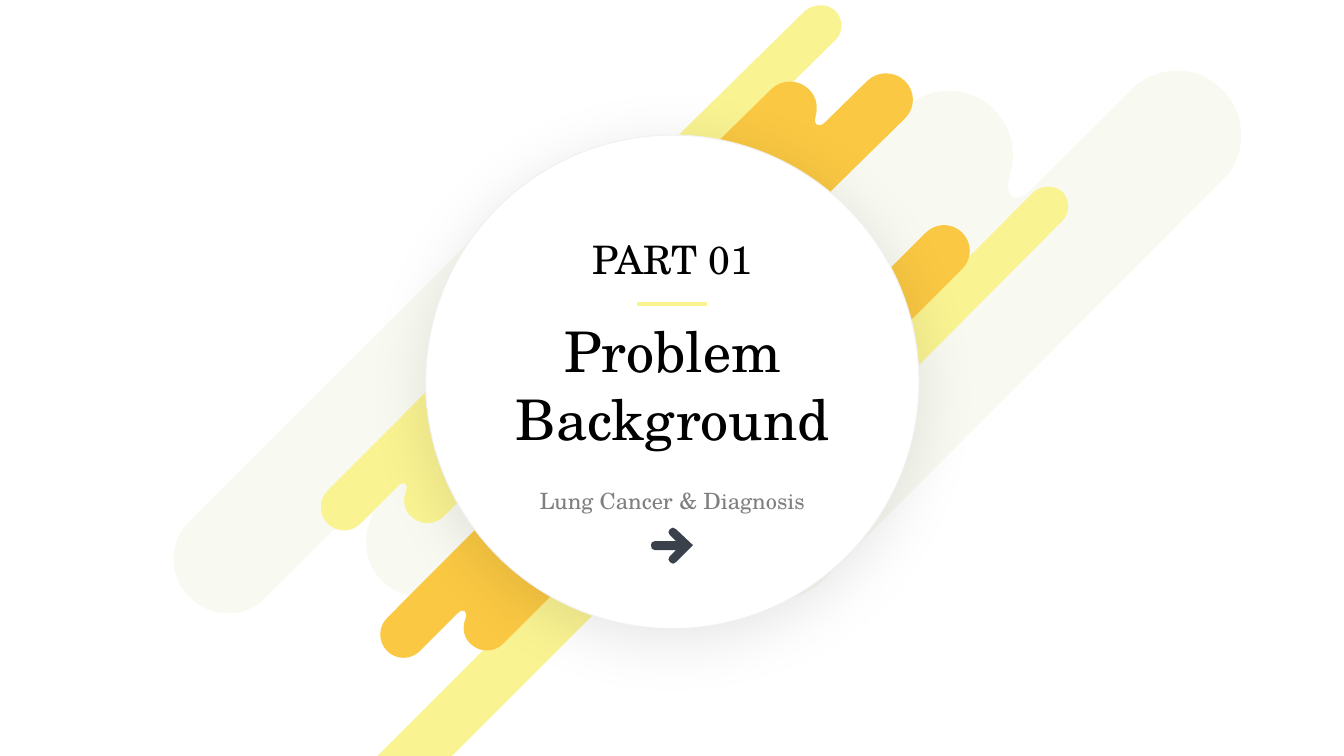
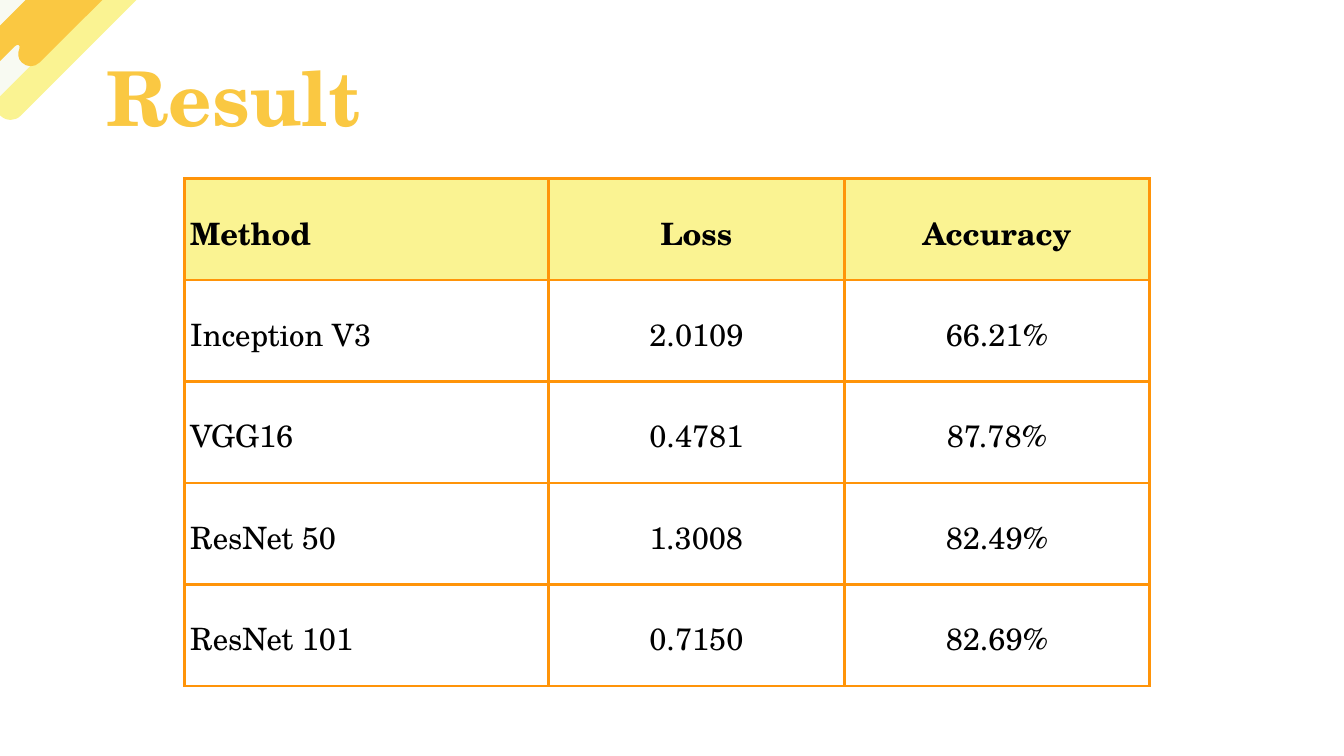
from lxml import etree
from pptx import Presentation
from pptx.dml.color import RGBColor
from pptx.enum import shapes, text
from pptx.oxml import ns
from pptx.util import Pt

# Shared look
FONT = "TeX Gyre Schola"
PALE, YELLOW, ORANGE = "F8FAF2", "FAF392", "FAC842"
BLACK, WHITE, GREY, SLATE = "000000", "FFFFFF", "7F7F7F", "3A414B"
RIM, GRID = "F0F0F0", "FF9409"
LEFT, CENTER = text.PP_ALIGN.LEFT, text.PP_ALIGN.CENTER

# Outlines: extent, then parts (two numbers are a line end, six are a curve)
BIG_SPLASH = (7.5, 5.44), [
    (6.87, 0), (6.70, 0, 6.54, .06, 6.41, .19), (5.41, 1.19),
    (5.36, 1.24, 5.32, 1.26, 5.28, 1.26), (5.20, 1.26, 5.17, 1.17, 5.20, 1.06),
    (5.28, .82, 5.23, .57, 5.05, .39), (4.93, .26, 4.76, .20, 4.60, .20),
    (4.44, .20, 4.28, .26, 4.15, .39), (.19, 4.35),
    (.07, 4.47, 0, 4.63, 0, 4.80), (0, 4.97, .07, 5.13, .19, 5.25),
    (.32, 5.38, .48, 5.44, .65, 5.44), (.81, 5.44, .97, 5.38, 1.09, 5.25),
    (2.12, 4.23), (2.18, 4.17, 2.23, 4.15, 2.26, 4.15),
    (2.34, 4.15, 2.37, 4.24, 2.33, 4.34), (2.23, 4.58, 2.27, 4.87, 2.46, 5.05),
    (2.58, 5.18, 2.75, 5.24, 2.91, 5.24), (3.07, 5.24, 3.24, 5.18, 3.36, 5.05),
    (7.31, 1.09), (7.44, .97, 7.50, .81, 7.50, .64),
    (7.50, .47, 7.44, .31, 7.31, .19), (7.19, .06, 7.03, 0, 6.87, 0),
]
SMALL_SPLASH = (3.06, 2.23), [
    (2.96, .10), (2.86, 0, 2.70, 0, 2.60, .10), (2.20, .50),
    (2.13, .56, 2.09, .51, 2.11, .45), (2.14, .35, 2.12, .25, 2.05, .18),
    (1.95, .08, 1.79, .08, 1.69, .18), (.10, 1.77),
    (0, 1.87, 0, 2.03, .10, 2.13), (.20, 2.23, .36, 2.23, .46, 2.13),
    (.87, 1.72), (.94, 1.65, .98, 1.71, .96, 1.77),
    (.92, 1.86, .93, 1.98, 1.01, 2.05), (1.11, 2.15, 1.27, 2.15, 1.37, 2.05),
    (2.96, .46), (3.06, .36, 3.06, .20, 2.96, .10),
]
BAR = (2.96, 2.96), [
    (.47, 2.85), (.37, 2.95, .21, 2.95, .10, 2.85), (0, 2.75, 0, 2.59, .10, 2.48),
    (2.49, .09), (2.60, 0, 2.76, 0, 2.86, .09), (2.96, .20, 2.96, .36, 2.86, .46),
]
ARROW = (.42, .37), [
    (.19, .35), (.17, .33, .17, .31, .19, .29), (.25, .23), (.04, .23),
    (.01, .23, 0, .21, 0, .18), (0, .16, .01, .14, .04, .14), (.25, .14), (.19, .08),
    (.17, .06, .17, .04, .19, .02), (.21, 0, .23, 0, .25, .02), (.42, .18), (.25, .35),
    (.23, .37, .21, .37, .19, .35),
]

RESULTS = [
    ("Method", "Loss", "Accuracy"),
    ("Inception V3", "2.0109", "66.21%"),
    ("VGG16", "0.4781", "87.78%"),
    ("ResNet 50", "1.3008", "82.49%"),
    ("ResNet 101", "0.7150", "82.69%"),
]


def rgb(value):
    return RGBColor.from_string(value)


def add_xml(parent, tag, **attributes):
    return etree.SubElement(parent, ns.qn(tag), attributes)


def paint(shape, color):
    shape.shadow.inherit = False
    shape.fill.solid()
    shape.fill.fore_color.rgb = rgb(color)
    shape.line.fill.background()


def add_outline(slide, outline, box, color):
    """Fill the box with a freeform whose path has true curves."""
    extent, parts = outline
    builder = slide.shapes.build_freeform(*map(Pt, parts[0]))
    builder.add_line_segments([tuple(map(Pt, part[-2:])) for part in parts[1:]])
    shape = builder.convert_to_shape()
    for name, value in zip(("left", "top", "width", "height"), box):
        setattr(shape, name, Pt(value))
    # Rewrite the path so that its rounded parts are curves
    path = next(shape._element.iter(ns.qn("a:path")))
    for step in list(path):
        path.remove(step)
    for side, value in zip("wh", extent):
        path.set(side, str(Pt(value)))
    for number, part in enumerate(parts):
        tag = "a:cubicBezTo" if len(part) == 6 else "a:lnTo" if number else "a:moveTo"
        step = add_xml(path, tag)
        for x, y in zip(part[::2], part[1::2]):
            add_xml(step, "a:pt", x=str(Pt(x)), y=str(Pt(y)))
    add_xml(path, "a:close")
    paint(shape, color)


def write(paragraph, words, size, color=BLACK, bold=False, **layout):
    for name, value in layout.items():
        setattr(paragraph, name, value)
    run = paragraph.add_run()
    run.text = words
    for name, value in {"name": FONT, "size": Pt(size), "bold": bold}.items():
        setattr(run.font, name, value)
    run.font.color.rgb = rgb(color)


def add_label(slide, box, words, size, **style):
    frame = slide.shapes.add_textbox(*map(Pt, box)).text_frame
    frame.word_wrap = True
    frame.auto_size = text.MSO_AUTO_SIZE.SHAPE_TO_FIT_TEXT
    write(frame.paragraphs[0], words, size, **style)


def add_disc(slide, left, top, size):
    disc = slide.shapes.add_shape(
        shapes.MSO_SHAPE.OVAL, Pt(left), Pt(top), Pt(size), Pt(size))
    paint(disc, WHITE)
    disc.line.color.rgb = rgb(RIM)
    disc.line.width = Pt(0.75)
    # Soft shadow below the disc
    effects = disc._element.spPr.find(ns.qn("a:effectLst"))
    shadow = add_xml(effects, "a:outerShdw", blurRad=str(Pt(45)), dist=str(Pt(8)),
                     dir="5400000", algn="ctr", rotWithShape="0")
    add_xml(add_xml(shadow, "a:srgbClr", val=BLACK), "a:alpha", val="10000")


def add_rule(slide, left, right, y):
    rule = slide.shapes.add_connector(
        shapes.MSO_CONNECTOR.STRAIGHT, Pt(left), Pt(y), Pt(right), Pt(y))
    rule.line.color.rgb = rgb(YELLOW)
    rule.line.width = Pt(3)
    add_xml(rule._element.spPr, "a:effectLst")


def add_borders(cell):
    properties = cell._tc.get_or_add_tcPr()
    for side in ("a:lnL", "a:lnR", "a:lnT", "a:lnB"):
        border = add_xml(properties, side, w=str(Pt(2.25)))
        add_xml(add_xml(border, "a:solidFill"), "a:srgbClr", val=GRID)


def add_results(slide, left, top, widths, row_height):
    table = slide.shapes.add_table(
        len(RESULTS), len(widths), Pt(left), Pt(top), Pt(sum(widths)),
        Pt(row_height * len(RESULTS))).table
    table.first_row = table.horz_banding = False
    for column, width in zip(table.columns, widths):
        column.width = Pt(width)
    margins = {f"margin_{side}": Pt(4.2) for side in ("left", "right", "top", "bottom")}
    cell_format = {"vertical_anchor": text.MSO_ANCHOR.MIDDLE, **margins}
    for r, record in enumerate(RESULTS):
        for c, words in enumerate(record):
            cell = table.cell(r, c)
            for name, value in cell_format.items():
                setattr(cell, name, value)
            add_borders(cell)
            if r == 0:
                cell.fill.solid()
                cell.fill.fore_color.rgb = rgb(YELLOW)
            else:
                cell.fill.background()
            write(cell.text_frame.paragraphs[0], words, 22, bold=r == 0,
                  alignment=CENTER if c else LEFT, line_spacing=1.15,
                  space_before=Pt(12), space_after=Pt(12))


def build_part_slide(slide):
    # Diagonal splashes and bars
    for outline, box, color in (
            (BIG_SPLASH, (346.5, 50.5, 540, 391.5), PALE),
            (BIG_SPLASH, (124, 109.5, 453, 328.5), PALE),
            (BAR, (430.5, 2.5, 172, 169), YELLOW),
            (SMALL_SPLASH, (423.5, 50.5, 230.5, 165), ORANGE),
            (BAR, (600.5, 132, 164, 165), YELLOW),
            (SMALL_SPLASH, (474, 159, 220.5, 160.5), ORANGE),
            (SMALL_SPLASH, (227.5, 234.5, 200, 146), YELLOW),
            (BAR, (263, 361, 213, 213), YELLOW),
            (SMALL_SPLASH, (270, 325.5, 200, 146), ORANGE)):
        add_outline(slide, outline, box, color)

    # Disc with the part title
    add_disc(slide, 304, 96.5, 352.5)
    add_label(slide, (352, 222.9, 257, 104.5), "Problem Background", 40, alignment=CENTER)
    add_label(slide, (396, 164.4, 168.5, 41), "PART 01", 28, alignment=CENTER)
    add_rule(slide, 455, 505, 217)
    add_label(slide, (351.2, 339.5, 258, 27), "Lung Cancer & Diagnosis", 16,
              color=GREY, alignment=CENTER, line_spacing=1.25)
    add_outline(slide, ARROW, (465, 376.5, 30, 26.5), SLATE)


def build_result_slide(slide):
    add_results(slide, 131.7, 127.5, (260, 211.5, 218), 72.5)
    # Corner decoration
    add_outline(slide, BIG_SPLASH, (-124, -70.5, 243.5, 176.5), PALE)
    add_outline(slide, BAR, (-3.5, -27.5, 114.5, 114.5), YELLOW)
    add_outline(slide, SMALL_SPLASH, (-20, -27.5, 108, 78.5), ORANGE)
    add_label(slide, (68.8, 32.5, 255.5, 73), "Result", 54, color=ORANGE, bold=True)


def main():
    deck = Presentation()
    deck.slide_width, deck.slide_height = Pt(960), Pt(540)
    for build in (build_part_slide, build_result_slide):
        build(deck.slides.add_slide(deck.slide_layouts[6]))
    deck.save("out.pptx")


if __name__ == "__main__":
    main()
